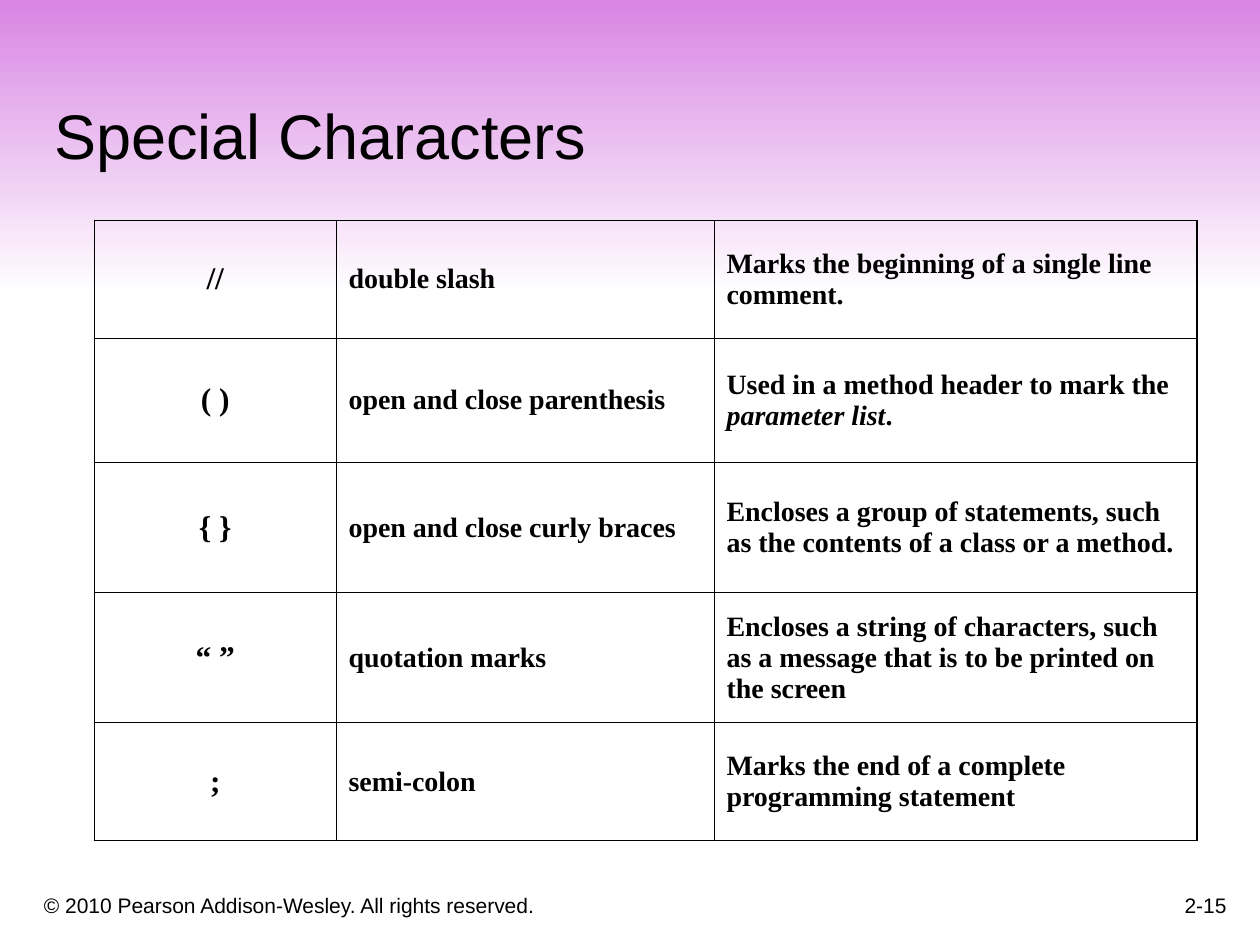
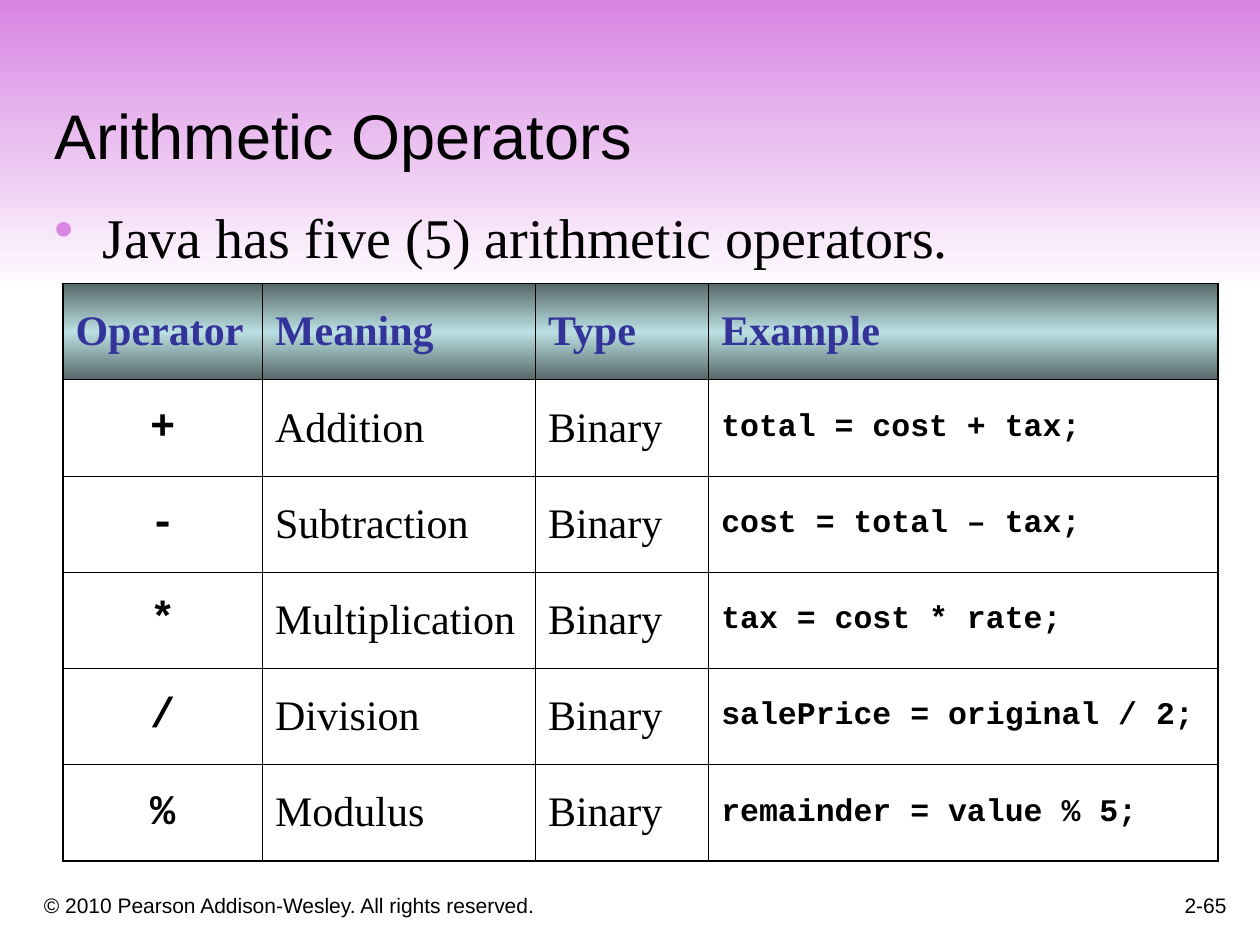
"""Build two lecture slides on special characters and arithmetic operators."""
import copy

import pptx
import pptx.dml.color
import pptx.enum.shapes
import pptx.enum.text
import pptx.oxml
import pptx.oxml.ns
import pptx.util
from lxml import etree

BLACK = pptx.dml.color.RGBColor(0x00, 0x00, 0x00)
WHITE = pptx.dml.color.RGBColor(0xFF, 0xFF, 0xFF)
ORCHID = pptx.dml.color.RGBColor(0xD8, 0x85, 0xE3)
INDIGO = pptx.dml.color.RGBColor(0x33, 0x33, 0x99)
SLATE = pptx.dml.color.RGBColor(0x57, 0x68, 0x69)
ICE = pptx.dml.color.RGBColor(0xBB, 0xE0, 0xE3)

SANS, SERIF, MONO = "Arial", "Times New Roman", "Courier New"
LEFT = pptx.enum.text.PP_ALIGN.LEFT
CENTER = pptx.enum.text.PP_ALIGN.CENTER
RIGHT = pptx.enum.text.PP_ALIGN.RIGHT
TOP = pptx.enum.text.MSO_ANCHOR.TOP
MIDDLE = pptx.enum.text.MSO_ANCHOR.MIDDLE
BOTTOM = pptx.enum.text.MSO_ANCHOR.BOTTOM
OUTER_LINE, INNER_LINE = pptx.util.Pt(1.08), pptx.util.Pt(0.45)
COPYRIGHT = "© 2010 Pearson Addison-Wesley. All rights reserved."

deck = pptx.Presentation()
deck.slide_width = pptx.util.Inches(10)
deck.slide_height = pptx.util.Inches(7.5)
GRID_COLUMNS = 120
UNIT = deck.slide_width // GRID_COLUMNS


def fill_gradient(fill, element, stops):
    """Fill from top to bottom with (position, colour) stops."""
    fill.gradient()
    fill.gradient_angle = 270
    stop_list = next(element.iter(pptx.oxml.ns.qn("a:gsLst")))
    while len(stop_list) < len(stops):
        stop_list.append(copy.deepcopy(stop_list[0]))
    for stop, (position, colour) in zip(fill.gradient_stops, stops):
        stop.position = position
        stop.color.rgb = colour


def write_text(frame, text, font, size, align=LEFT, bold=False, colour=BLACK, bullet=False):
    """Write one paragraph, with italics between underscores."""
    frame.word_wrap = True
    para = frame.paragraphs[0]
    para.alignment = align
    if bullet:
        properties = para._p.get_or_add_pPr()
        properties.set("marL", str(pptx.util.Inches(0.38)))
        properties.set("indent", str(pptx.util.Inches(-0.38)))
        bullet_colour = etree.SubElement(properties, pptx.oxml.ns.qn("a:buClr"))
        etree.SubElement(bullet_colour, pptx.oxml.ns.qn("a:srgbClr"), val=str(ORCHID))
        etree.SubElement(properties, pptx.oxml.ns.qn("a:buChar"), char="•")
    para.font.name = font
    para.font.size = pptx.util.Pt(size)
    para.font.bold = bold
    para.font.color.rgb = colour
    for index, part in enumerate(text.split("_")):
        span = para.add_run()
        span.text = part
        if index % 2:
            span.font.italic = True


lessons = [
    {
        "title": "Special Characters",
        "number": "2-15",
        "origin": (9, 21),
        "columns": [23, 36, 46],
        "rows": [11.2, 11.85, 12.4, 12.4, 11.2],
        "styles": [(SERIF, 18, CENTER, True), (SERIF, 16, LEFT, True), (SERIF, 16, LEFT, True)],
        "header": [],
        "cells": [
            ("//", "double slash", "Marks the beginning of a single line comment."),
            ("( )", "open and close parenthesis",
             "Used in a method header to mark the _parameter list_."),
            ("{ }", "open and close curly braces",
             "Encloses a group of statements, such as the contents of a class or a method."),
            ("“ ”", "quotation marks",
             "Encloses a string of characters, such as a message that is to be printed on the screen"),
            (";", "semi-colon", "Marks the end of a complete programming statement"),
        ],
    },
    {
        "title": "Arithmetic Operators",
        "number": "2-65",
        "bullet": "Java has five (5) arithmetic operators.",
        "origin": (6, 27),
        "columns": [19, 26, 16.5, 48.5],
        "rows": [55 / 6] * 6,
        "styles": [(MONO, 24, CENTER, True), (SERIF, 24, LEFT, False),
                   (SERIF, 24, LEFT, False), (MONO, 18, LEFT, True)],
        "header": [("Operator", "Meaning", "Type", "Example")],
        "cells": [
            ("+", "Addition", "Binary", "total = cost + tax;"),
            ("-", "Subtraction", "Binary", "cost = total – tax;"),
            ("*", "Multiplication", "Binary", "tax = cost * rate;"),
            ("/", "Division", "Binary", "salePrice = original / 2;"),
            ("%", "Modulus", "Binary", "remainder = value % 5;"),
        ],
    },
]

for lesson in lessons:
    page = deck.slides.add_slide(deck.slide_layouts[6])
    band = page.shapes.add_shape(
        pptx.enum.shapes.MSO_SHAPE.RECTANGLE, 0, 0, deck.slide_width, 28 * UNIT)
    band.shadow.inherit = False
    band.line.fill.background()
    fill_gradient(band.fill, band.element, [(0, ORCHID), (1, WHITE)])

    captions = [
        ((3, 83, 73, 5), BOTTOM, COPYRIGHT, SANS, 12, LEFT),
        ((93, 82, 25, 6), BOTTOM, lesson["number"], SANS, 12, RIGHT),
        ((4, 4, 113, 13), BOTTOM, lesson["title"], SANS, 36, LEFT),
    ]
    if "bullet" in lesson:
        captions.append(((4, 18.7, 109, 60), TOP, lesson["bullet"], SERIF, 32, LEFT))
    for place, anchor, text, font, size, align in captions:
        box = page.shapes.add_textbox(*[round(length * UNIT) for length in place])
        box.text_frame.vertical_anchor = anchor
        write_text(box.text_frame, text, font, size, align, bullet=anchor == TOP)

    widths = [round(width * UNIT) for width in lesson["columns"]]
    heights = [round(height * UNIT) for height in lesson["rows"]]
    left, top = [length * UNIT for length in lesson["origin"]]
    last_row, last_column = len(heights) - 1, len(widths) - 1
    table = page.shapes.add_table(
        len(heights), len(widths), left, top, sum(widths), sum(heights)).table
    table.first_row = False
    table.horz_banding = False
    for column, width in zip(table.columns, widths):
        column.width = width
    for row, height in zip(table.rows, heights):
        row.height = height

    for row_index, texts in enumerate(lesson["header"] + lesson["cells"]):
        for column_index, text in enumerate(texts):
            cell = table.cell(row_index, column_index)
            cell.vertical_anchor = MIDDLE
            properties = cell._tc.get_or_add_tcPr()
            if row_index < len(lesson["header"]):
                fill_gradient(cell.fill, properties, [(0, SLATE), (0.5, ICE), (1, SLATE)])
                write_text(cell.text_frame, text, SERIF, 24, bold=True, colour=INDIGO)
            else:
                cell.fill.background()
                font, size, align, bold = lesson["styles"][column_index]
                write_text(cell.text_frame, text, font, size, align, bold)
            edges = [("L", column_index == 0), ("R", column_index == last_column),
                     ("T", row_index == 0), ("B", row_index == last_row)]
            for position, (side, is_outer) in enumerate(edges):
                border = etree.Element(pptx.oxml.ns.qn(f"a:ln{side}"))
                border.set("w", str(OUTER_LINE if is_outer else INNER_LINE))
                paint = etree.SubElement(border, pptx.oxml.ns.qn("a:solidFill"))
                etree.SubElement(paint, pptx.oxml.ns.qn("a:srgbClr"), val=str(BLACK))
                properties.insert(position, border)

deck.save("out.pptx")
